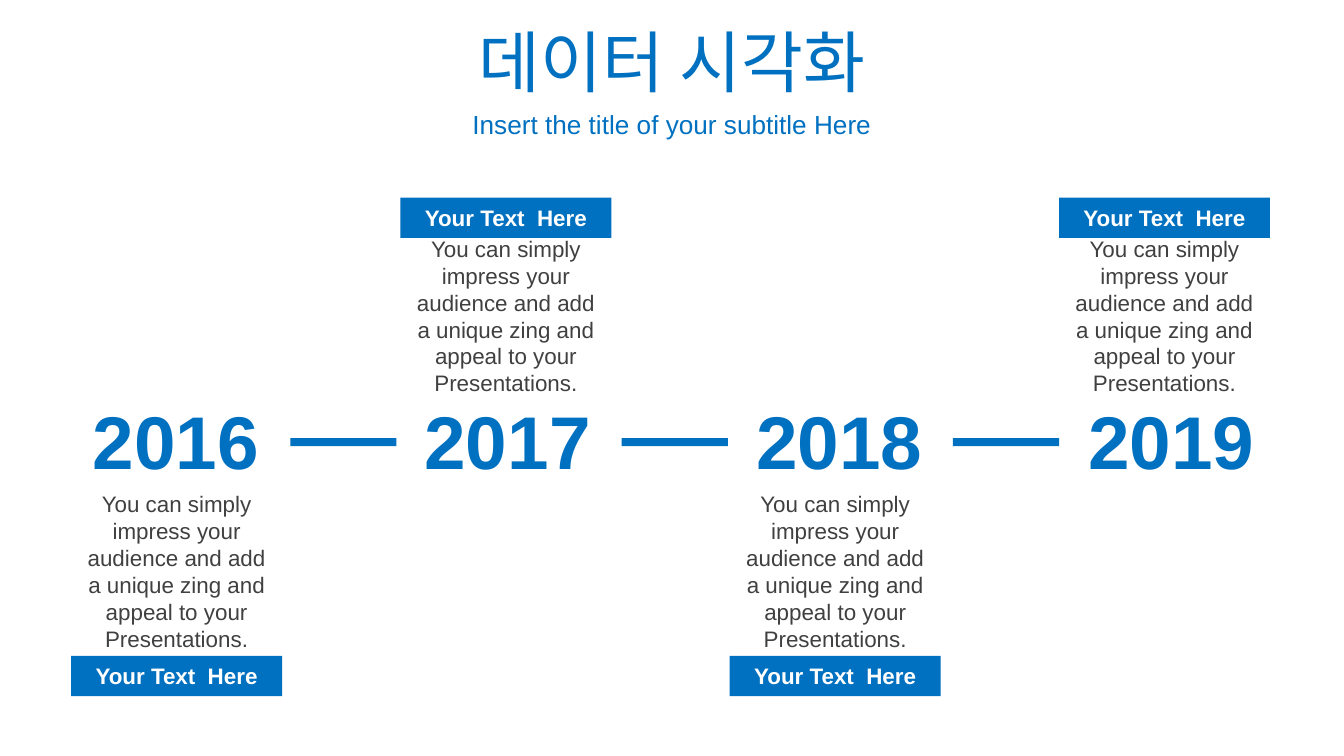
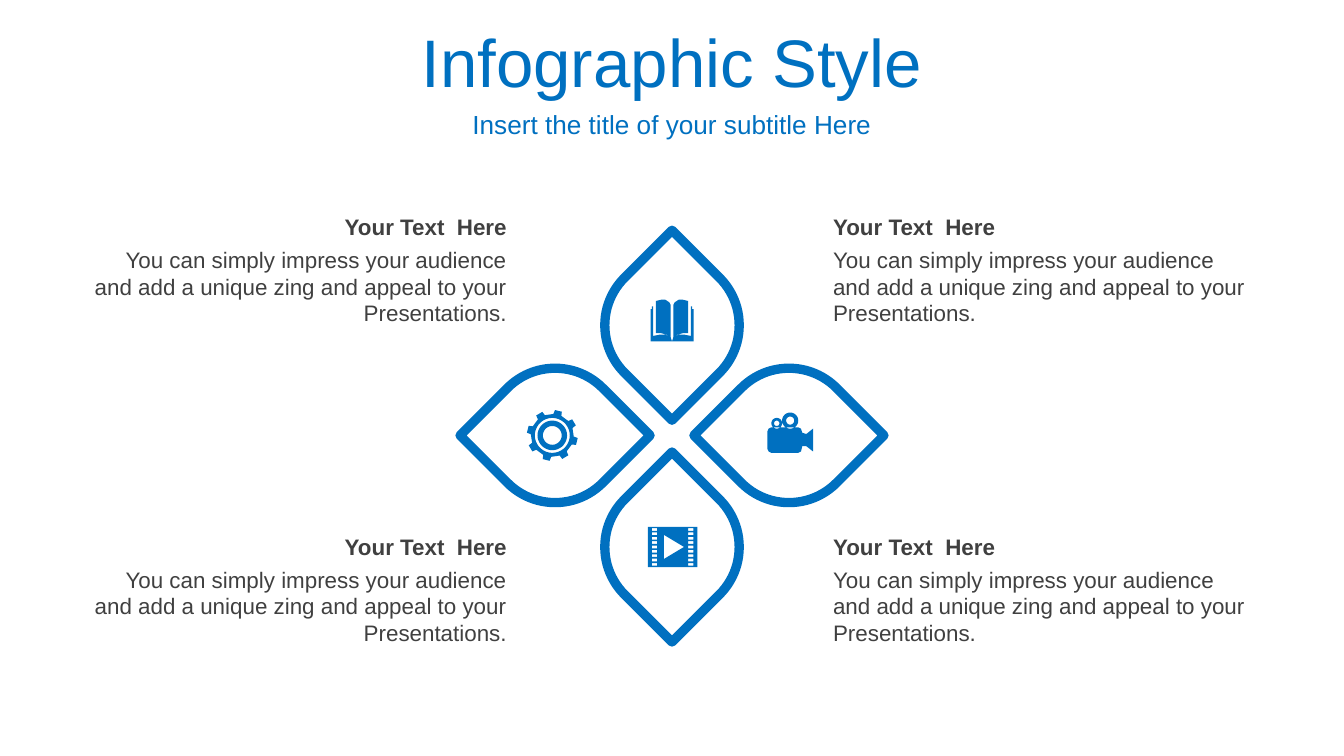
from dataclasses import dataclass
from math import cos, pi, radians, sin

from lxml.etree import SubElement
from pptx import Presentation
from pptx.dml.color import RGBColor as RGB
from pptx.enum.shapes import MSO_SHAPE as SHAPE
from pptx.enum.text import MSO_ANCHOR as ANCHOR, MSO_AUTO_SIZE as FIT, PP_ALIGN as ALIGN
from pptx.oxml.ns import qn
from pptx.util import Inches, Pt


@dataclass(frozen=True)
class Theme:
    font: str = "Arial"
    blue: RGB = RGB(0x00, 0x70, 0xC0)
    gray: RGB = RGB(0x40, 0x40, 0x40)
    white: RGB = RGB(0xFF, 0xFF, 0xFF)
    title_size: float = 36
    subtitle_size: float = 14
    year_size: float = 40
    body_size: float = 12
    body_leading: float = 14.4


theme = Theme()
SUBTITLE = "Insert the title of your subtitle Here"
LABEL = "Your Text  Here"
BODY = ("You can simply impress your audience and add a unique zing "
        "and appeal to your Presentations.")


def add_text(slide, text, left, top, width, height, size=theme.body_size,
             color=theme.gray, bold=False, align=ALIGN.LEFT, fill=None,
             anchor=ANCHOR.TOP, wrap=True, leading=None):
    frame = [Inches(length) for length in (left, top, width, height)]
    if fill is None:
        box = slide.shapes.add_textbox(*frame)
    else:
        box = slide.shapes.add_shape(SHAPE.RECTANGLE, *frame)
        box.shadow.inherit = False
        box.fill.solid()
        box.fill.fore_color.rgb = fill
        box.line.fill.background()
    box.text_frame.text = text
    box.text_frame.word_wrap = wrap
    box.text_frame.vertical_anchor = anchor
    box.text_frame.auto_size = FIT.SHAPE_TO_FIT_TEXT if anchor == ANCHOR.TOP else FIT.NONE
    para = box.text_frame.paragraphs[0]
    para.alignment = align
    if leading:
        para.line_spacing = Pt(leading)
    font = para.runs[0].font
    font.name, font.size, font.bold = theme.font, Pt(size), bold
    font.color.rgb = color


def add_icon(slide, outlines, circles=()):
    """Draw outlines and circles (x, y, radius) as one shape; inner ones cut holes."""
    steps = [2 * pi * step / 36 for step in range(36)]
    rings = [[(x + r * cos(a), y + r * sin(a)) for a in steps] for x, y, r in circles]
    builder = None
    for outline in outlines + rings:
        points = [(Inches(x), Inches(y)) for x, y in outline]
        if builder is None:
            builder = slide.shapes.build_freeform(*points[0])
        else:
            builder.move_to(*points[0])
        builder.add_line_segments(points[1:], close=True)
    icon = builder.convert_to_shape()
    icon.shadow.inherit = False
    icon.fill.solid()
    icon.fill.fore_color.rgb = theme.blue
    icon.line.fill.background()


# A 16:9 deck
deck = Presentation()
deck.slide_width, deck.slide_height = Inches(10), Inches(10 * 9 / 16)

# Titles shared by both slides
slides = []
for title in ("데이터 시각화", "Infographic Style"):
    slide = deck.slides.add_slide(deck.slide_layouts[6])
    for text, top, height, size in ((title, 0.14, 0.63, theme.title_size),
                                    (SUBTITLE, 0.77, 0.31, theme.subtitle_size)):
        add_text(slide, text, 0, top, 10, height, size, theme.blue,
                 align=ALIGN.CENTER, anchor=ANCHOR.MIDDLE)
    slides.append(slide)
timeline, petals = slides

# Timeline: years
for index in range(4):
    add_text(timeline, str(2016 + index), 0.59 + 2.47 * index, 2.89, 1.45, 0.77,
             theme.year_size, theme.blue, bold=True, wrap=False)

# Timeline: dashes between the years
for index in range(3):
    dash = timeline.shapes.add_shape(SHAPE.RECTANGLE, Inches(2.16 + 2.465 * index),
                                     Inches(3.26), Inches(0.79), Inches(0.06))
    dash.shadow.inherit = False
    dash.fill.solid()
    dash.fill.fore_color.rgb = theme.blue
    dash.line.fill.background()

# Timeline: descriptions alternate below and above the years
for index in range(4):
    left = 0.53 + 2.45 * index
    body_top, label_top = (1.7, 1.47) if index % 2 else (3.6, 4.88)
    add_text(timeline, BODY, left, body_top, 1.57, 1.31, align=ALIGN.CENTER,
             leading=theme.body_leading)
    add_text(timeline, LABEL, left, label_top, 1.57, 0.3, color=theme.white,
             bold=True, align=ALIGN.CENTER, fill=theme.blue)

# Petals: squares with two round corners, turned onto their points
for left, top, angle in ((4.5, 1.92, 135), (3.63, 2.74, 45),
                         (4.5, 3.57, 135), (5.37, 2.74, 45)):
    petal = petals.shapes.add_shape(SHAPE.ROUND_2_DIAG_RECTANGLE, Inches(left),
                                    Inches(top), Inches(1), Inches(1))
    petal.adjustments[0] = 0.5
    petal.adjustments[1] = 0
    petal.rotation = angle
    petal.shadow.inherit = False
    petal.fill.background()
    petal.line.color.rgb = theme.blue
    petal.line.width = Pt(5)
    SubElement(petal.line._get_or_add_ln(), qn("a:round"))

# Gear: eight teeth around three rings
gear_x, gear_y = 4.11, 3.24
gear = []
for tooth in range(8):
    for offset, radius in ((-11, 0.16), (-8, 0.19), (8, 0.19), (11, 0.16)):
        angle = radians(14 + 45 * tooth + offset)
        gear.append((gear_x + radius * sin(angle), gear_y - radius * cos(angle)))
add_icon(petals, [gear], [(gear_x, gear_y, radius) for radius in (0.13, 0.11, 0.07)])

# Book: the left half is mirrored to the right
cover = [(4.99, 2.51), (4.95, 2.49), (4.91, 2.49), (4.86, 2.5), (4.86, 2.28),
         (4.85, 2.28), (4.85, 2.3), (4.84, 2.3), (4.84, 2.54), (5, 2.54)]
page = [(4.99, 2.51), (4.96, 2.49), (4.92, 2.48), (4.88, 2.48), (4.88, 2.24),
        (4.92, 2.23), (4.95, 2.23), (4.98, 2.25), (4.99, 2.27)]
mirrored = [[(10 - x, y) for x, y in half] for half in (cover, page)]
add_icon(petals, [cover, page] + mirrored)

# Camera: body with lens, and two reels
camera = [(5.74, 3.18), (5.94, 3.18), (5.96, 3.19), (5.97, 3.22), (6, 3.23),
          (6.05, 3.19), (6.05, 3.36), (6, 3.32), (5.97, 3.32), (5.96, 3.36),
          (5.94, 3.37), (5.74, 3.37), (5.72, 3.36), (5.71, 3.34), (5.71, 3.21),
          (5.72, 3.19)]
add_icon(petals, [camera], [(5.88, 3.13, 0.06), (5.88, 3.13, 0.03),
                            (5.78, 3.15, 0.04), (5.78, 3.15, 0.02)])

# Film: frame, play mark and two columns of nine holes
film = [[(4.82, 3.92), (5.19, 3.92), (5.19, 4.22), (4.82, 4.22)],
        [(4.94, 3.98), (4.94, 4.16), (5.09, 4.07)]]
for left in (4.85, 5.12):
    for row in range(9):
        top = 3.93 + 0.26 * row / 8
        film.append([(left, top), (left + 0.04, top),
                     (left + 0.04, top + 0.02), (left, top + 0.02)])
add_icon(petals, film)

# Descriptions at the four corners
for left, align in ((6.1, ALIGN.LEFT), (0.56, ALIGN.RIGHT)):
    for top in (1.54, 3.92):
        add_text(petals, BODY, left, top + 0.24, 3.31, 0.71, align=align,
                 leading=theme.body_leading)
        add_text(petals, LABEL, left, top, 3.31, 0.3, bold=True, align=align)

deck.save("out.pptx")
